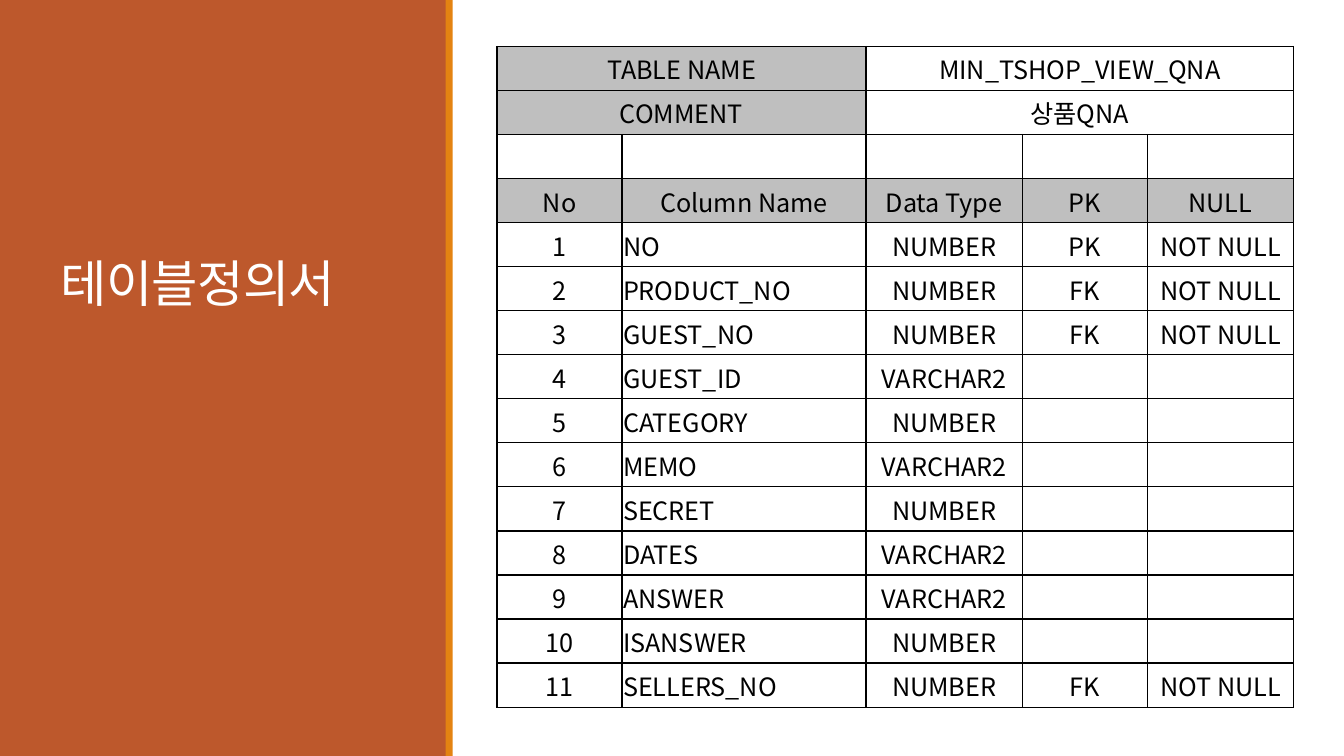
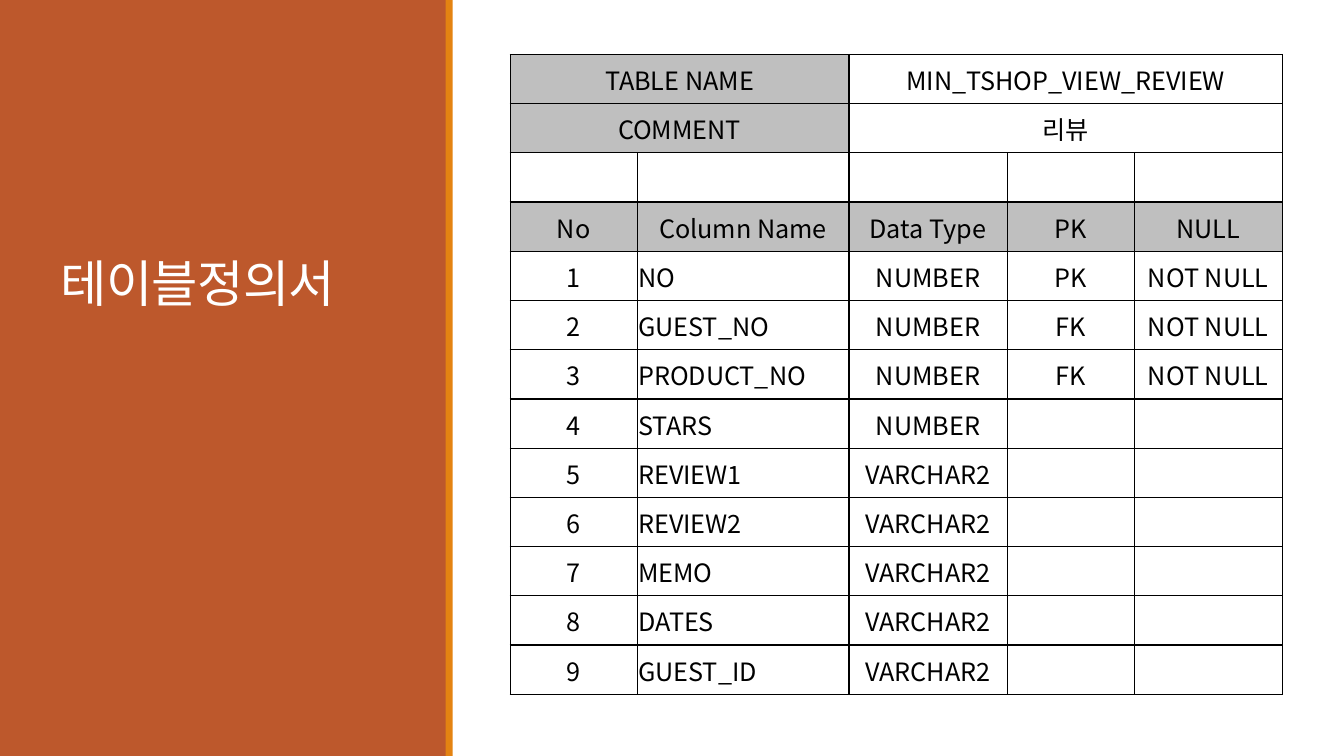
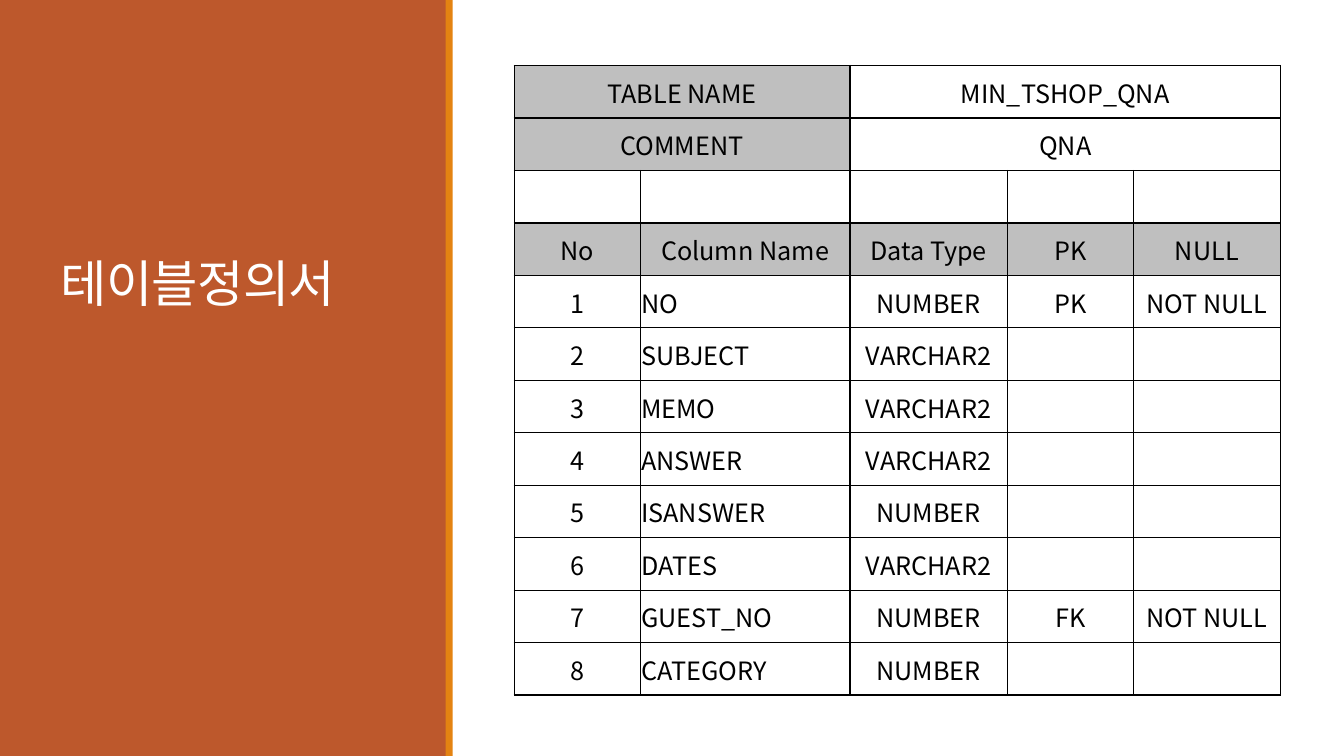
from lxml.etree import SubElement
from pptx import Presentation
from pptx.dml.color import RGBColor
from pptx.enum.shapes import MSO_SHAPE
from pptx.enum.text import MSO_ANCHOR, MSO_AUTO_SIZE, PP_ALIGN
from pptx.oxml.ns import qn
from pptx.util import Inches, Pt

RUST = RGBColor(0xBD, 0x58, 0x2C)
ORANGE = RGBColor(0xE4, 0x83, 0x12)
GRAY = RGBColor(0xBF, 0xBF, 0xBF)
BLACK = RGBColor(0x00, 0x00, 0x00)
WHITE = RGBColor(0xFF, 0xFF, 0xFF)

TITLE = "테이블정의서"
TITLE_FONT = {"name": "Calibri", "size": Pt(36)}
CELL_FONT = {"name": "Noto Sans CJK KR", "size": Pt(18)}
CELL_FORMAT = {
    "vertical_anchor": MSO_ANCHOR.MIDDLE,
    "margin_left": Inches(0.01),
    "margin_right": Inches(0.01),
    "margin_top": Inches(0.01),
    "margin_bottom": Inches(0),
}
HEADINGS = ["No", "Column Name", "Data Type", "PK", "NULL"]
HEADING_ROW = 3
NAME_COLUMN = 1
VALUE_COLUMN = 2

# Each field is a name, a data type and, for key fields, the kind of key.
DEFINITIONS = [
    {
        "name": "MIN_TSHOP_VIEW_QNA",
        "comment": "상품QNA",
        "place": (4.93, 0.46, 6.56),
        "widths": [1.24, 2.42, 1.55, 1.24, 1.45],
        "fields": [
            ("NO", "NUMBER", "PK"),
            ("PRODUCT_NO", "NUMBER", "FK"),
            ("GUEST_NO", "NUMBER", "FK"),
            ("GUEST_ID", "VARCHAR2", ""),
            ("CATEGORY", "NUMBER", ""),
            ("MEMO", "VARCHAR2", ""),
            ("SECRET", "NUMBER", ""),
            ("DATES", "VARCHAR2", ""),
            ("ANSWER", "VARCHAR2", ""),
            ("ISANSWER", "NUMBER", ""),
            ("SELLERS_NO", "NUMBER", "FK"),
        ],
    },
    {
        "name": "MIN_TSHOP_VIEW_REVIEW",
        "comment": "리뷰",
        "place": (5.06, 0.54, 6.35),
        "widths": [1.26, 2.1, 1.57, 1.26, 1.47],
        "fields": [
            ("NO", "NUMBER", "PK"),
            ("GUEST_NO", "NUMBER", "FK"),
            ("PRODUCT_NO", "NUMBER", "FK"),
            ("STARS", "NUMBER", ""),
            ("REVIEW1", "VARCHAR2", ""),
            ("REVIEW2", "VARCHAR2", ""),
            ("MEMO", "VARCHAR2", ""),
            ("DATES", "VARCHAR2", ""),
            ("GUEST_ID", "VARCHAR2", ""),
        ],
    },
    {
        "name": "MIN_TSHOP_QNA",
        "comment": "QNA",
        "place": (5.1, 0.65, 6.25),
        "widths": [1.25, 2.08, 1.56, 1.25, 1.46],
        "fields": [
            ("NO", "NUMBER", "PK"),
            ("SUBJECT", "VARCHAR2", ""),
            ("MEMO", "VARCHAR2", ""),
            ("ANSWER", "VARCHAR2", ""),
            ("ISANSWER", "NUMBER", ""),
            ("DATES", "VARCHAR2", ""),
            ("GUEST_NO", "NUMBER", "FK"),
            ("CATEGORY", "NUMBER", ""),
        ],
    },
]


def apply_format(target, values):
    for attribute, value in values.items():
        setattr(target, attribute, value)


class DefinitionDeck:
    """Holds the shared style and the slide being filled."""

    def __init__(self):
        self.deck = Presentation()
        self.deck.slide_width = Inches(13.33)
        self.deck.slide_height = Inches(7.5)
        self.layout = self.deck.slide_layouts.get_by_name("Title Only")
        self.page = None

    def add_page(self):
        self.page = self.deck.slides.add_slide(self.layout)
        self.add_band(0, 4.43, RUST)
        self.add_band(4.42, 0.07, ORANGE)
        self.add_title()

    def add_band(self, left, width, color):
        band = self.page.shapes.add_shape(
            MSO_SHAPE.RECTANGLE, Inches(left), 0, Inches(width), self.deck.slide_height
        )
        band.shadow.inherit = False
        band.fill.solid()
        band.fill.fore_color.rgb = color
        band.line.fill.background()

    def add_title(self):
        """Format the title placeholder and bring it in front of the bands."""
        title = self.page.shapes.title
        title.element.getparent().append(title.element)
        apply_format(title, {
            "left": Inches(0.5), "top": Inches(0.65),
            "width": Inches(3.5), "height": Inches(2.5),
        })
        apply_format(title.text_frame, {
            "text": TITLE, "word_wrap": True,
            "vertical_anchor": MSO_ANCHOR.BOTTOM, "auto_size": MSO_AUTO_SIZE.NONE,
        })
        para = title.text_frame.paragraphs[0]
        apply_format(para, {"alignment": PP_ALIGN.LEFT, "line_spacing": 0.85})
        span = para.runs[0]
        apply_format(span.font, TITLE_FONT)
        span.font.color.rgb = WHITE
        span.font._element.set("spc", "-50")

    def add_definition(self, name, comment, place, widths, fields):
        rows = [
            ["TABLE NAME", "", name, "", ""],
            ["COMMENT", "", comment, "", ""],
            [""] * len(HEADINGS),
            HEADINGS,
        ]
        for number, (field, data_type, key) in enumerate(fields, 1):
            rows.append([str(number), field, data_type, key, "NOT NULL" if key else ""])

        left, top, height = place
        table = self.page.shapes.add_table(
            len(rows), len(widths),
            Inches(left), Inches(top), Inches(sum(widths)), Inches(height),
        ).table
        apply_format(table, {"first_row": False, "horz_banding": False})
        for column, width in zip(table.columns, widths):
            column.width = Inches(width)

        for row_index, texts in enumerate(rows):
            for column_index, text in enumerate(texts):
                shaded = row_index == HEADING_ROW or (
                    row_index < 2 and column_index < VALUE_COLUMN
                )
                is_name = row_index > HEADING_ROW and column_index == NAME_COLUMN
                alignment = PP_ALIGN.LEFT if is_name else PP_ALIGN.CENTER
                self.fill_cell(table.cell(row_index, column_index), text, shaded, alignment)
        for row_index in range(2):
            table.cell(row_index, 0).merge(table.cell(row_index, VALUE_COLUMN - 1))
            table.cell(row_index, VALUE_COLUMN).merge(table.cell(row_index, len(widths) - 1))

    def fill_cell(self, cell, text, shaded, alignment):
        apply_format(cell, CELL_FORMAT)
        self.add_borders(cell)
        if shaded:
            cell.fill.solid()
            cell.fill.fore_color.rgb = GRAY
        else:
            cell.fill.background()
        para = cell.text_frame.paragraphs[0]
        para.alignment = alignment
        if text:
            span = para.add_run()
            span.text = text
            apply_format(span.font, CELL_FONT)
            span.font.color.rgb = BLACK
            SubElement(span.font._element, qn("a:ea"), typeface=CELL_FONT["name"])

    def add_borders(self, cell):
        properties = cell._tc.get_or_add_tcPr()
        for side in ("a:lnL", "a:lnR", "a:lnT", "a:lnB"):
            line = SubElement(properties, qn(side), w=str(Pt(1)))
            fill = SubElement(line, qn("a:solidFill"))
            SubElement(fill, qn("a:srgbClr"), val=str(BLACK))


def main():
    builder = DefinitionDeck()
    for definition in DEFINITIONS:
        builder.add_page()
        builder.add_definition(**definition)
    builder.deck.save("out.pptx")


if __name__ == "__main__":
    main()
